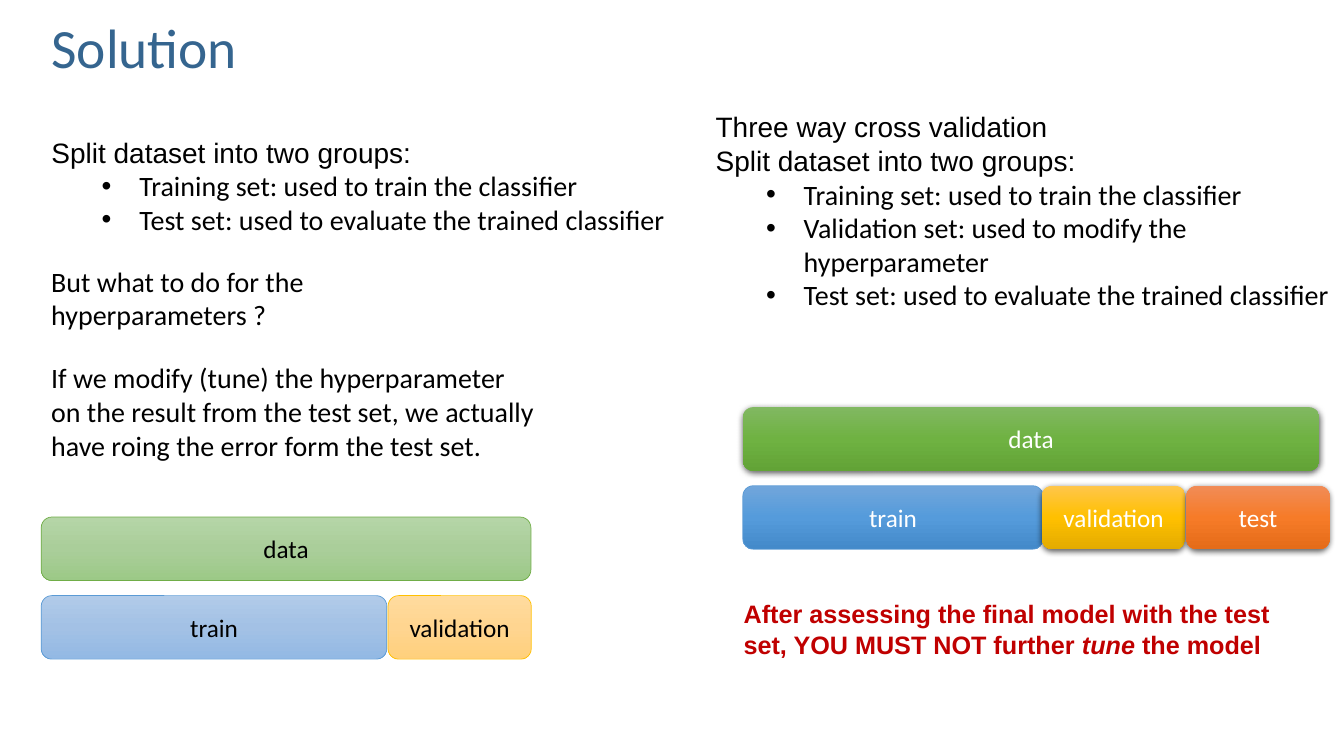
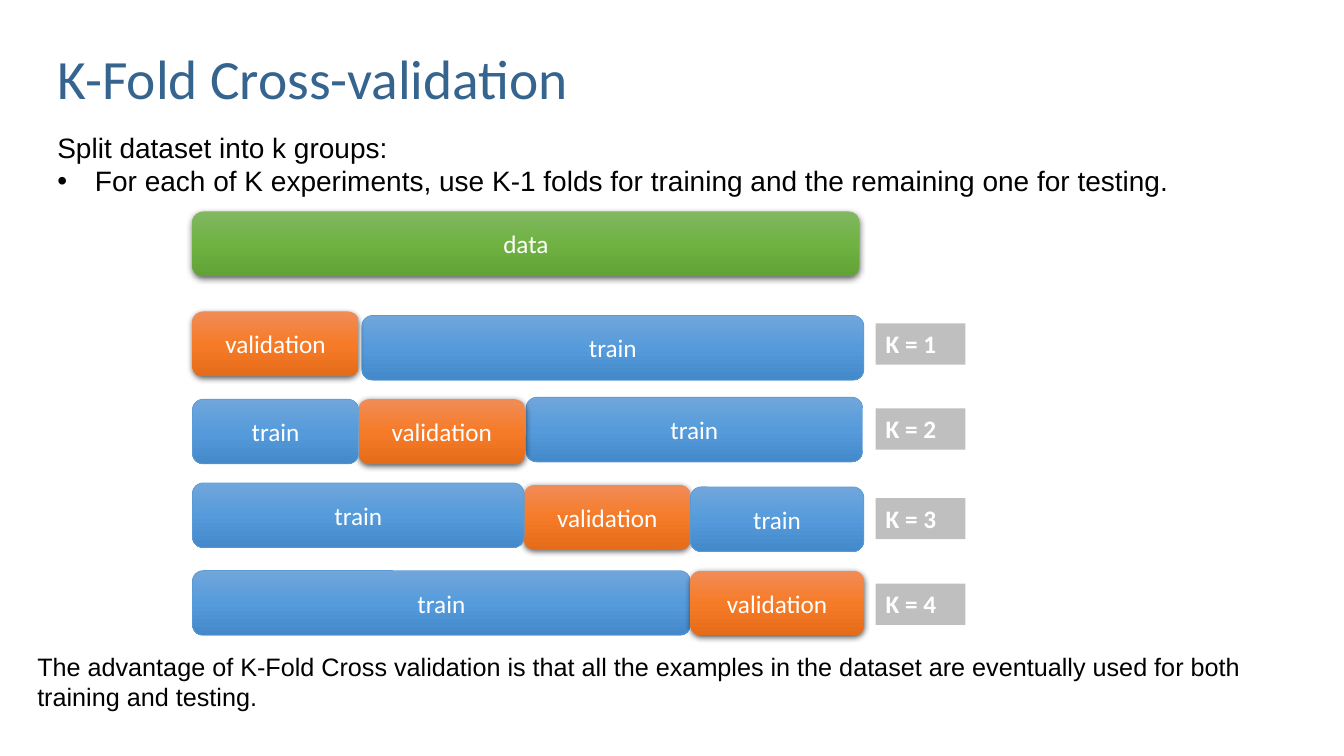
import copy

import pptx
import pptx.dml.color
import pptx.enum.shapes
import pptx.enum.text
import pptx.oxml
import pptx.oxml.ns
import pptx.util

Cm = pptx.util.Cm
Pt = pptx.util.Pt
qn = pptx.oxml.ns.qn
Align = pptx.enum.text.PP_ALIGN
Anchor = pptx.enum.text.MSO_ANCHOR
AutoShape = pptx.enum.shapes.MSO_SHAPE

# Gradient stops, outline (None gives a shadow instead) and text colour
BLOCK_STYLES = {
    "blue": (("71A6DB", "559BDB", "448ACA"), "5B9BD5", "FFFFFF"),
    "orange": (("F18C57", "F67B28", "E56C19"), None, "FFFFFF"),
    "yellow": (("FFC64B", "FFC000", "E3AB00"), None, "FFFFFF"),
    "green": (("81B861", "6FB242", "62A336"), None, "FFFFFF"),
    "pale blue": (("B1CBE9", "A3C1E5", "93B9E4"), "5B9BD5", "000000"),
    "pale yellow": (("FFDB9E", "FFD590", "FFD07C"), "FFC000", "000000"),
    "pale green": (("B5D5A7", "AACE9A", "9CC987"), "70AD47", "000000"),
}

TITLE_FONT = {"name": "Calibri", "size": Pt(39.6)}
LIST_FONT = {"name": "Arial", "size": Pt(20)}
ITEM_FONT = {"name": "Calibri", "size": Pt(20)}
NOTE_FONT = {"name": "Arial", "size": Pt(18)}
BLOCK_FONT = {"name": "Calibri", "size": Pt(18)}
BULLET_HANG = 0.95


def color(hex_string):
    return pptx.dml.color.RGBColor.from_string(hex_string)


def add_xml(parent, tag, **attributes):
    element = parent.makeelement(qn(tag), attributes)
    parent.append(element)
    return element


class Deck:
    """Holds the shared style and the slide being built."""

    def __init__(self):
        self.presentation = pptx.Presentation()
        self.presentation.slide_width = Cm(33.87)
        self.presentation.slide_height = Cm(19.05)
        self.slide = None

    def new_slide(self, layout_index):
        layout = self.presentation.slide_layouts[layout_index]
        self.slide = self.presentation.slides.add_slide(layout)

    def place(self, shape, box):
        names = ("left", "top", "width", "height")
        for name, length in zip(names, box):
            setattr(shape, name, Cm(length))

    def prepare(self, shape, anchor=Anchor.TOP):
        frame = shape.text_frame
        settings = {
            "word_wrap": True,
            "auto_size": pptx.enum.text.MSO_AUTO_SIZE.NONE,
            "vertical_anchor": anchor,
        }
        for name, value in settings.items():
            setattr(frame, name, value)
        return frame

    def add_text(self, paragraph, text, font, hex_string="000000", align=Align.LEFT):
        paragraph.alignment = align
        run = paragraph.add_run()
        run.text = text
        for name, value in font.items():
            setattr(run.font, name, value)
        run.font.color.rgb = color(hex_string)

    def title(self, text, box):
        shape = self.slide.shapes.title
        self.place(shape, box)
        paragraph = self.prepare(shape, Anchor.MIDDLE).paragraphs[0]
        paragraph.line_spacing = 0.9
        self.add_text(paragraph, text, TITLE_FONT, "35658F")

    def bullet_list(self, index, box, headings, items, level=1, font=ITEM_FONT):
        """Fill a body placeholder with plain headings and bulleted items."""
        shape = self.slide.placeholders[index]
        self.place(shape, box)
        frame = self.prepare(shape)
        rows = [(text, False) for text in headings] + [(text, True) for text in items]
        for number, (text, bulleted) in enumerate(rows):
            paragraph = frame.add_paragraph() if number else frame.paragraphs[0]
            paragraph.space_before = Pt(0)
            paragraph.level = level if bulleted else 0
            properties = paragraph._p.get_or_add_pPr()
            margin = level * 1.27 + BULLET_HANG if bulleted else 0
            properties.set("marL", str(Cm(margin)))
            properties.set("indent", str(Cm(-BULLET_HANG if bulleted else 0)))
            if bulleted:
                add_xml(properties, "a:buFont", typeface="Arial")
                add_xml(properties, "a:buChar", char="•")
            else:
                add_xml(properties, "a:buNone")
            self.add_text(paragraph, text, font if bulleted else LIST_FONT)

    def text(self, pieces, box, font, hex_string="000000"):
        """Add a text box; pieces are (text, extra font values) pairs."""
        shape = self.slide.shapes.add_textbox(*map(Cm, box))
        paragraph = self.prepare(shape).paragraphs[0]
        for text, extra in pieces:
            self.add_text(paragraph, text, {**font, **extra}, hex_string)

    def block(self, text, style, left, top, width, height=1.63):
        stops, outline, text_color = BLOCK_STYLES[style]
        shape = self.slide.shapes.add_shape(
            AutoShape.ROUNDED_RECTANGLE, *map(Cm, (left, top, width, height)))
        self.gradient(shape, stops)
        shape.shadow.inherit = False
        if outline:
            shape.line.color.rgb = color(outline)
            shape.line.width = Pt(0.5)
        else:
            shape.line.fill.background()
            self.shadow(shape)
        frame = self.prepare(shape, Anchor.MIDDLE)
        self.add_text(frame.paragraphs[0], text, BLOCK_FONT, text_color, Align.CENTER)

    def gradient(self, shape, stops):
        shape.fill.gradient()
        shape.fill.gradient_angle = 270
        first = shape._element.spPr.find(".//" + qn("a:gs"))
        first.addnext(copy.deepcopy(first))
        for number, stop in enumerate(shape.fill.gradient_stops):
            stop.position = number / 2
            stop.color.rgb = color(stops[number])

    def shadow(self, shape):
        effects = shape._element.spPr.find(qn("a:effectLst"))
        outer = add_xml(effects, "a:outerShdw", blurRad=str(Pt(4.5)),
                        dist=str(Pt(1.5)), dir="5400000", rotWithShape="0")
        black = add_xml(outer, "a:srgbClr", val="000000")
        add_xml(black, "a:alpha", val="63000")

    def label(self, text, box):
        shape = self.slide.shapes.add_shape(AutoShape.RECTANGLE, *map(Cm, box))
        shape.shadow.inherit = False
        shape.line.fill.background()
        shape.fill.solid()
        shape.fill.fore_color.rgb = color("808080")
        fill_color = shape._element.spPr.find(".//" + qn("a:srgbClr"))
        add_xml(fill_color, "a:alpha", val="50000")
        paragraph = self.prepare(shape).paragraphs[0]
        self.add_text(paragraph, text, {**BLOCK_FONT, "bold": True}, "FFFFFF")


def build_solution(deck):
    deck.new_slide(3)
    deck.title("Solution", (1.04, 0.53, 29.21, 1.5))

    # Two-way split, then its problem
    groups = "Split dataset into two groups:"
    training = "Training set: used to train the classifier"
    test = "Test set: used to evaluate the trained classifier"
    deck.bullet_list(1, (1.04, 3.28, 16.64, 2.82), [groups], [training, test])
    deck.text([("But what to do for the hyperparameters ?", {})],
              (1.04, 6.53, 6.93, 1.96), ITEM_FONT)
    deck.text([("If we modify (tune) the hyperparameter on the result from the test "
                "set, we actually have roing the error form the test set.", {})],
              (1.04, 8.97, 12.7, 2.82), ITEM_FONT)

    # Three-way split
    deck.bullet_list(2, (17.78, 2.64, 16.18, 5.38),
                     ["Three way cross validation", groups],
                     [training, "Validation set: used to modify the hyperparameter", test])

    # Split diagrams
    for block in (
        ("train", "blue", 18.72, 12.24, 7.57),
        ("validation", "yellow", 26.26, 12.24, 3.61),
        ("test", "orange", 29.9, 12.24, 3.61),
        ("data", "green", 18.72, 10.26, 14.53),
        ("train", "pale blue", 1.04, 15.01, 8.71),
        ("validation", "pale yellow", 9.78, 15.01, 3.61),
        ("data", "pale green", 1.04, 13.03, 12.34),
    ):
        deck.block(*block, height=1.6)

    # Warning
    deck.text([("After assessing the final model with the test set, "
                "YOU MUST NOT further ", {}),
               ("tune", {"italic": True}),
               (" the model", {})],
              (18.49, 14.96, 14.76, 1.8), {**NOTE_FONT, "bold": True}, "C00000")


def build_k_fold(deck):
    deck.new_slide(1)
    deck.title("K-Fold Cross-validation", (1.19, 1.19, 29.21, 1.75))
    deck.bullet_list(1, (1.19, 3.15, 30.38, 1.96), ["Split dataset into k groups:"],
                     ["For each of K experiments, use K-1 folds for training "
                      "and the remaining one for testing."],
                     level=0, font=LIST_FONT)

    # Whole dataset, then one row per fold: label top and (part, left, top, width)
    left, fold = 4.85, 4.19
    deck.block("data", "green", left, 5.33, 16.81)
    styles = {"train": "blue", "validation": "orange"}
    rows = (
        (8.15, (("train", 9.12, 7.95, 12.65), ("validation", left, 7.85, fold))),
        (10.29, (("train", 13.26, 10.01, 8.48), ("validation", 9.04, 10.06, fold),
                 ("train", left, 10.06, fold))),
        (12.55, (("validation", 13.21, 12.22, fold), ("train", left, 12.17, 8.36),
                 ("train", 17.4, 12.27, 4.37))),
        (14.71, (("train", left, 14.38, 12.55), ("validation", 17.4, 14.38, 4.37))),
    )
    for number, (label_top, parts) in enumerate(rows, start=1):
        for part, *box in parts:
            deck.block(part, styles[part], *box)
        deck.label(f"K = {number}", (22.07, label_top, 2.26, 1.04))

    # Conclusion
    deck.text([("The advantage of K-Fold Cross validation is that all the examples in "
                "the dataset are eventually used for both training and testing.", {})],
              (0.69, 16.28, 30.91, 1.8), NOTE_FONT)


def main():
    deck = Deck()
    build_solution(deck)
    build_k_fold(deck)
    deck.presentation.save("out.pptx")


if __name__ == "__main__":
    main()
